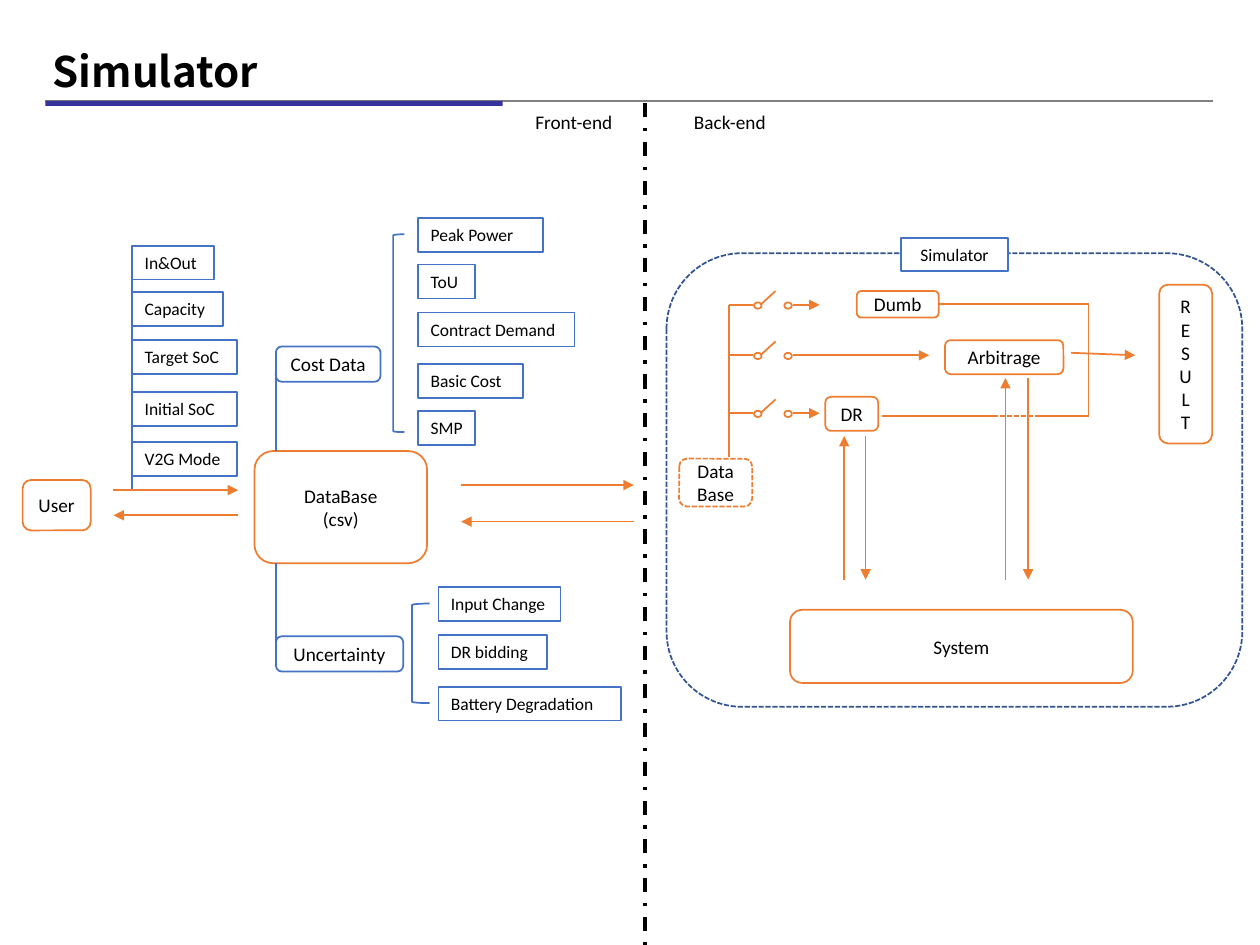
from dataclasses import dataclass
from typing import Any

from lxml.etree import SubElement
from pptx import Presentation
from pptx.dml.color import RGBColor
from pptx.enum.dml import MSO_LINE as Dash
from pptx.enum.shapes import MSO_CONNECTOR as Link, MSO_SHAPE as Kind
from pptx.enum.text import MSO_ANCHOR as Anchor, PP_ALIGN as Align
from pptx.oxml.ns import qn
from pptx.util import Inches, Pt

BLACK = RGBColor(0x00, 0x00, 0x00)
WHITE = RGBColor(0xFF, 0xFF, 0xFF)
GRAY = RGBColor(0x80, 0x80, 0x80)
INDIGO = RGBColor(0x33, 0x33, 0x99)
BLUE = RGBColor(0x44, 0x72, 0xC4)
NAVY = RGBColor(0x32, 0x54, 0x91)
ORANGE = RGBColor(0xED, 0x7D, 0x31)

# The page is a grid of square cells
COLUMNS, ROWS, CELL = 100, 75, 0.1
TAG_ROWS = 2.7


@dataclass
class Box:
    """A region of the page; its parts are placed in cells from its corner."""
    page: Any
    left: float
    top: float
    width: float
    height: float

    def x(self, column):
        return Inches((self.left + column) * CELL)

    def y(self, row):
        return Inches((self.top + row) * CELL)


def write(shape, text, size=11, font="Calibri", bold=False, align=Align.CENTER,
          anchor=Anchor.MIDDLE, spacing=None, right_inset=0.1):
    frame = shape.text_frame
    frame.word_wrap = True
    frame.vertical_anchor = anchor
    frame.margin_right = Inches(right_inset)
    for index, words in enumerate(text.split("\n")):
        para = frame.add_paragraph() if index else frame.paragraphs[0]
        para.alignment = align
        if spacing:
            para.line_spacing = spacing
        span = para.add_run()
        span.text = words
        span.font.size, span.font.name, span.font.bold = Pt(size), font, bold
        span.font.color.rgb = BLACK


def label(box, text, left, top, width, height, **style):
    frame = box.page.shapes.add_textbox(
        box.x(left), box.y(top), Inches(width * CELL), Inches(height * CELL))
    write(frame, text, align=Align.LEFT, **style)


def node(box, left, top, width, height, text="", kind=Kind.ROUNDED_RECTANGLE,
         color=ORANGE, fill=None, dash=None, **style):
    shape = box.page.shapes.add_shape(
        kind, box.x(left), box.y(top), Inches(width * CELL), Inches(height * CELL))
    shape.shadow.inherit = False
    if fill is None:
        shape.fill.background()
    else:
        shape.fill.solid()
        shape.fill.fore_color.rgb = fill
    if color is None:
        shape.line.fill.background()
    else:
        shape.line.color.rgb = color
        shape.line.width = Pt(1)
        if dash:
            shape.line.dash_style = dash
    if text:
        write(shape, text, **style)


def line(box, start, end, color=ORANGE, width=1, dash=None, arrow=False):
    link = box.page.shapes.add_connector(
        Link.STRAIGHT, box.x(start[0]), box.y(start[1]), box.x(end[0]), box.y(end[1]))
    link.line.color.rgb = color
    link.line.width = Pt(width)
    if dash:
        link.line.dash_style = dash
    if arrow:
        SubElement(link.line._get_or_add_ln(), qn("a:tailEnd"), type="triangle")
    SubElement(link._element.spPr, qn("a:effectLst"))


def tags(box, left, entries):
    """Left-aligned blue tags, each given as text, top row and width."""
    for text, top, width in entries:
        node(box, left, top, width, TAG_ROWS, text, Kind.RECTANGLE, BLUE, size=10,
             align=Align.LEFT, anchor=Anchor.TOP, right_inset=0)


def header(box):
    line(box, (0.4, 4.4), (93.1, 4.4), GRAY)
    node(box, 0.4, 4.4, 36.3, 0.4, kind=Kind.RECTANGLE, color=None, fill=INDIGO)
    label(box, "Simulator", 0, 0, 90, 4.6, size=24, font="Noto Sans CJK KR",
          bold=True, spacing=0.9)


def user_inputs(box):
    node(box, 0, 18.6, 5.4, 4, "User")
    tags(box, 8.7, [("In&Out", 0, 6.5), ("Capacity", 3.7, 7.2), ("Target SoC", 7.5, 8.3),
                    ("Initial SoC", 11.6, 8.3), ("V2G Mode", 15.6, 8.3)])
    line(box, (8.7, 19.4), (8.7, 1.3), BLUE)
    # Exchange between user and database
    line(box, (7.2, 19.4), (17.1, 19.4), arrow=True)
    line(box, (17.1, 21.4), (7.2, 21.4), arrow=True)


def database(box):
    node(box, 0, 0, box.width, box.height, "DataBase\n(csv)")
    line(box, (1.7, 0), (1.7, -7.9), BLUE)
    line(box, (1.7, box.height), (1.7, 16.8), BLUE)
    # Exchange with the back-end
    line(box, (16.4, 2.7), (30.1, 2.7), arrow=True)
    line(box, (30.1, 5.6), (16.4, 5.6), arrow=True)


def cost_data(box):
    node(box, 0, 10.2, 8.3, 2.8, "Cost Data", color=BLUE)
    node(box, 9.3, 1.3, 0.9, 15.7, kind=Kind.LEFT_BRACKET, color=BLUE)
    tags(box, 11.3, [("Peak Power", 0, 9.9), ("ToU", 3.7, 4.5),
                     ("Contract Demand", 7.5, 12.4), ("Basic Cost", 11.6, 8.3),
                     ("SMP", 15.3, 4.5)])


def uncertainty(box):
    node(box, 0, 3.9, 10.1, 2.8, "Uncertainty", color=BLUE)
    node(box, 10.8, 1.3, 1.4, 7.9, kind=Kind.LEFT_BRACKET, color=BLUE)
    tags(box, 12.9, [("Input Change", 0, 9.7), ("DR bidding", 3.8, 8.6),
                     ("Battery Degradation", 7.9, 14.5)])


def divider(box):
    middle = box.width / 2
    line(box, (middle, 0), (middle, box.height), BLACK, 2, Dash.DASH_DOT)
    label(box, "Front-end", 0, 0, 8.3, 2.9)
    label(box, "Back-end", 12.6, 0, 8.3, 2.9)


def switch(box, arrow_end):
    """An open switch whose output arrow runs to the given column."""
    line(box, (0, 1.1), (1.9, 1.1))
    for left in (2, 4.4):
        node(box, left, 0.9, 0.6, 0.5, kind=Kind.OVAL)
    line(box, (3.7, 0), (2.5, 1.1))
    line(box, (5.1, 1.1), (arrow_end, 1.1), arrow=True)


def simulator(box):
    # Frame and its name
    node(box, 0, 0, box.width, box.height, color=NAVY, dash=Dash.SQUARE_DOT)
    node(box, 18.6, -1.2, 8.5, 2.6, "Simulator", Kind.RECTANGLE, BLUE, WHITE,
         size=10, anchor=Anchor.TOP)

    # Database feeding the switches
    node(box, 1, 16.3, 5.8, 3.8, "Data Base", dash=Dash.SQUARE_DOT)
    line(box, (4.95, 4.1), (4.95, 16.2))
    for top, arrow_end in ((3, 7.2), (7, 15.9), (11.6, 7.2)):
        switch(Box(box.page, box.left + 4.95, box.top + top, 8, 1.4), arrow_end)

    # Modes, system and result
    node(box, 15.1, 3, 6.5, 2.1, "Dumb")
    node(box, 22.1, 6.9, 9.4, 2.7, "Arbitrage")
    node(box, 12.6, 11.4, 4.2, 2.7, "DR")
    node(box, 9.8, 28.3, 27.2, 5.8, "System")
    node(box, 39.1, 2.5, 4.2, 12.6, "\n".join("RESULT"))

    # Exchange between modes and system
    for up, down, top in ((14.1, 15.8, 14.5), (26.9, 28.7, 9.9)):
        line(box, (up, 25.9), (up, top), arrow=True)
        line(box, (down, top), (down, 25.9), arrow=True)

    # Paths to the result
    line(box, (21.6, 4), (33.5, 4))
    line(box, (33.5, 4), (33.5, 12.9))
    line(box, (17.1, 12.9), (25.9, 12.9))
    line(box, (25.9, 12.9), (29.6, 12.9), dash=Dash.SQUARE_DOT)
    line(box, (29.6, 12.9), (33.5, 12.9))
    line(box, (32.1, 7.9), (37.2, 8.1), arrow=True)


deck = Presentation()
deck.slide_width, deck.slide_height = Inches(COLUMNS * CELL), Inches(ROWS * CELL)
page = deck.slides.add_slide(deck.slide_layouts[6])

header(Box(page, 3.2, 3.6, 93.1, 4.8))
database(Box(page, 20.2, 35.8, 13.7, 8.9))
user_inputs(Box(page, 1.8, 19.5, 17.1, 22.6))
uncertainty(Box(page, 21.9, 46.6, 27.4, 10.6))
cost_data(Box(page, 21.9, 17.3, 23.7, 18))
divider(Box(page, 41.5, 8.2, 19.4, 66.8))
simulator(Box(page, 52.9, 20.1, 45.7, 36))

deck.save("out.pptx")
